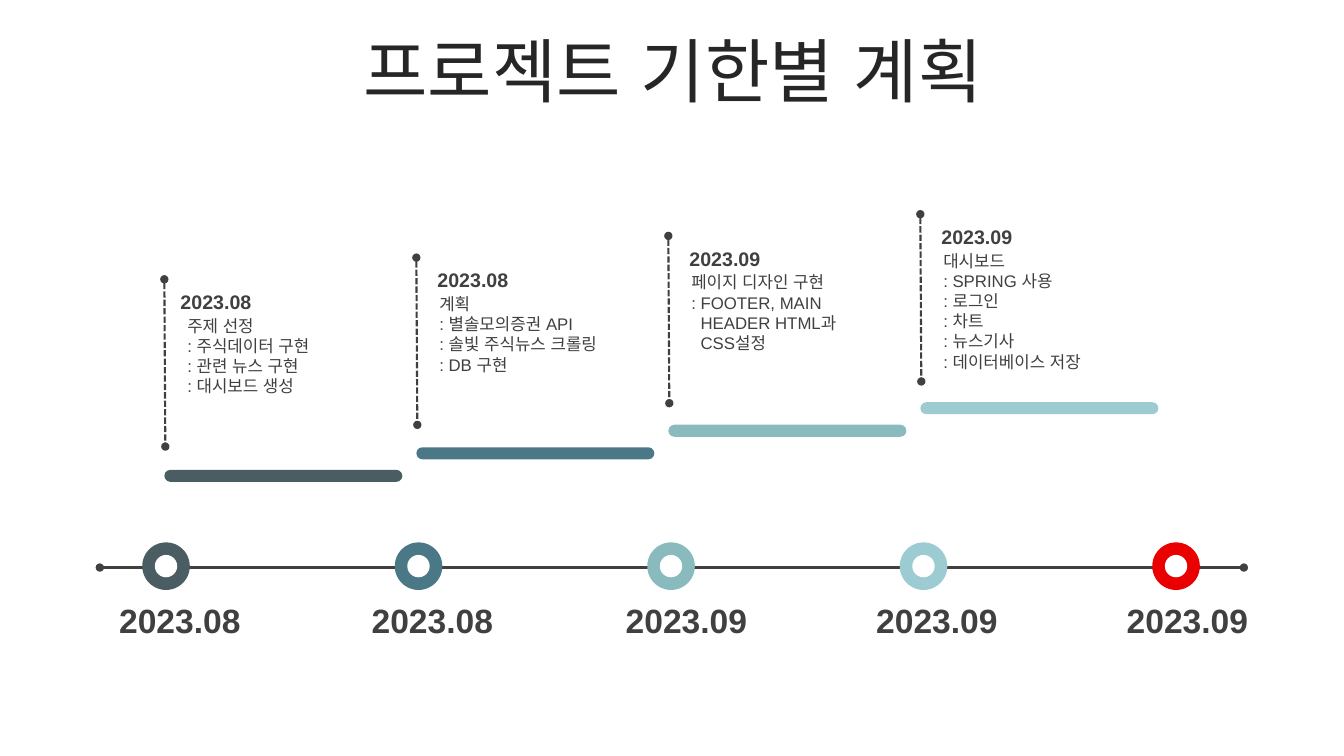
"""Build a project timeline slide with five milestones and four plan steps."""
from dataclasses import dataclass

from lxml.etree import SubElement
from pptx import Presentation
from pptx.dml.color import RGBColor
from pptx.enum.dml import MSO_LINE
from pptx.enum.shapes import MSO_CONNECTOR, MSO_SHAPE
from pptx.enum.text import MSO_ANCHOR, PP_ALIGN
from pptx.oxml.ns import qn
from pptx.shapes.autoshape import Shape
from pptx.slide import Slide
from pptx.util import Pt

INK = RGBColor(0x40, 0x40, 0x40)
TITLE_INK = RGBColor(0x26, 0x26, 0x26)
WHITE = RGBColor(0xFF, 0xFF, 0xFF)
SLATE = RGBColor(0x4A, 0x5D, 0x62)
TEAL = RGBColor(0x4A, 0x78, 0x86)
SAGE = RGBColor(0x88, 0xBA, 0xBE)
AQUA = RGBColor(0x9C, 0xCC, 0xD2)
RED = RGBColor(0xEA, 0x00, 0x00)

FONT = "Arial"
MILESTONE_PITCH = 180.36
STEP_PITCH = 180
BAR_RISE = 16.1
CALLOUT_RISE = 15.5
CONTINUATION_INDENT = 6.67


@dataclass(frozen=True)
class Milestone:
    """A dated ring on the time axis."""
    date: str
    color: RGBColor
    label_width: float


@dataclass(frozen=True)
class Line:
    """One line of step details."""
    text: str
    indent: float = 0


@dataclass(frozen=True)
class Step:
    """A plan step above the time axis."""
    date: str
    color: RGBColor
    width: float
    lines: tuple[Line, ...]
    date_offset: float = 6.4


@dataclass(frozen=True)
class Style:
    """Text look and box insets."""
    size: float
    color: RGBColor = INK
    bold: bool = False
    align: PP_ALIGN = PP_ALIGN.LEFT
    inset_x: float = 7.2
    inset_y: float = 3.6
    anchor: MSO_ANCHOR = MSO_ANCHOR.TOP
    line_spacing: float = 1.0


TITLE = Style(50, TITLE_INK, align=PP_ALIGN.CENTER, anchor=MSO_ANCHOR.MIDDLE, line_spacing=0.8)
AXIS_DATE = Style(24, bold=True, align=PP_ALIGN.CENTER, inset_x=0, inset_y=0)
STEP_DATE = Style(14, bold=True, inset_x=8.64)
DETAILS = Style(12)

MILESTONES = (
    Milestone("2023.08", SLATE, 105.8),
    Milestone("2023.08", TEAL, 105.8),
    Milestone("2023.09", SAGE, 108),
    Milestone("2023.09", AQUA, 105.1),
    Milestone("2023.09", RED, 102.2),
)

STEPS = (
    Step("2023.08", SLATE, 124, (
        Line("주제 선정"), Line(": 주식데이터 구현"),
        Line(": 관련 뉴스 구현"), Line(": 대시보드 생성")), date_offset=2.9),
    Step("2023.08", TEAL, 148.5, (
        Line("계획"), Line(": 별솔모의증권 API"),
        Line(": 솔빛 주식뉴스 크롤링"), Line(": DB 구현"))),
    Step("2023.09", SAGE, 124, (
        Line("페이지 디자인 구현"), Line(": FOOTER, MAIN"),
        Line("HEADER HTML과", CONTINUATION_INDENT),
        Line("CSS설정", CONTINUATION_INDENT))),
    Step("2023.09", AQUA, 124, (
        Line("대시보드"), Line(": SPRING 사용"), Line(": 로그인"),
        Line(": 차트"), Line(": 뉴스기사"), Line(": 데이터베이스 저장"))),
)


def add_text(page: Slide, left: float, top: float, width: float, height: float,
             lines: tuple[Line, ...], style: Style) -> None:
    """Place a text box with one paragraph per line."""
    box = page.shapes.add_textbox(Pt(left), Pt(top), Pt(width), Pt(height))
    frame = box.text_frame
    frame.word_wrap = True
    frame.vertical_anchor = style.anchor
    frame.margin_left = frame.margin_right = Pt(style.inset_x)
    frame.margin_top = frame.margin_bottom = Pt(style.inset_y)
    for index, line in enumerate(lines):
        para = frame.add_paragraph() if index else frame.paragraphs[0]
        para.alignment = style.align
        para.line_spacing = style.line_spacing
        if line.indent:
            para._p.get_or_add_pPr().set("marL", str(Pt(line.indent)))
        span = para.add_run()
        span.text = line.text
        span.font.name = FONT
        span.font.size = Pt(style.size)
        span.font.bold = style.bold
        span.font.color.rgb = style.color
        SubElement(span._r.get_or_add_rPr(), qn("a:ea"), typeface=FONT)


def add_solid(page: Slide, kind: MSO_SHAPE, left: float, top: float,
              width: float, height: float, color: RGBColor) -> Shape:
    """Place a filled shape without outline."""
    shape = page.shapes.add_shape(kind, Pt(left), Pt(top), Pt(width), Pt(height))
    shape.shadow.inherit = False
    shape.fill.solid()
    shape.fill.fore_color.rgb = color
    shape.line.fill.background()
    return shape


def add_dotted_end_line(page: Slide, start: tuple[float, float], end: tuple[float, float],
                        weight: float, dashed: bool = False) -> None:
    """Draw a line with a round dot at each end."""
    connector = page.shapes.add_connector(
        MSO_CONNECTOR.STRAIGHT, *(Pt(value) for value in start + end))
    connector.line.color.rgb = INK
    connector.line.width = Pt(weight)
    if dashed:
        connector.line.dash_style = MSO_LINE.SQUARE_DOT
    outline = connector.line._get_or_add_ln()
    for tag in ("a:headEnd", "a:tailEnd"):
        SubElement(outline, qn(tag), type="oval")
    SubElement(connector._element.spPr, qn("a:effectLst"))


def add_milestone(page: Slide, index: int, milestone: Milestone) -> None:
    """Draw one ring and its date on the axis."""
    shift = index * MILESTONE_PITCH
    center_x, center_y = 118.6 + shift, 404.4
    for diameter, color in ((34, milestone.color), (16, WHITE)):
        add_solid(page, MSO_SHAPE.OVAL, center_x - diameter / 2, center_y - diameter / 2,
                  diameter, diameter, color)
    add_text(page, 75.6 + shift, 428.4, milestone.label_width, 29,
             (Line(milestone.date),), AXIS_DATE)


def add_step(page: Slide, index: int, step: Step) -> None:
    """Draw one step with its bar, marker line, date and details."""
    left = 117.4 + index * STEP_PITCH
    bar_top = 335.6 - index * BAR_RISE
    top = 199.5 - index * CALLOUT_RISE
    bar = add_solid(page, MSO_SHAPE.ROUNDED_RECTANGLE, left, bar_top, 170, 8.6, step.color)
    bar.adjustments[0] = 0.5
    add_text(page, left + 9.3, top + 22.4, step.width, 8 + 14.4 * len(step.lines),
             step.lines, DETAILS)
    add_text(page, left + step.date_offset, top + 4.1, step.width, 24.5,
             (Line(step.date),), STEP_DATE)
    add_dotted_end_line(page, (left, top), (left + 0.7, top + 119.5), 1.5, dashed=True)


def main() -> None:
    """Build and save the deck."""
    deck = Presentation()
    deck.slide_width, deck.slide_height = Pt(960), Pt(540)
    page = deck.slides.add_slide(deck.slide_layouts[6])
    add_text(page, 25.2, 26.6, 911.5, 56.9, (Line("프로젝트 기한별 계획"),), TITLE)
    add_dotted_end_line(page, (71.3, 405.4), (888.5, 405.4), 1.75)
    for index, milestone in enumerate(MILESTONES):
        add_milestone(page, index, milestone)
    for index, step in enumerate(STEPS):
        add_step(page, index, step)
    deck.save("out.pptx")


if __name__ == "__main__":
    main()
